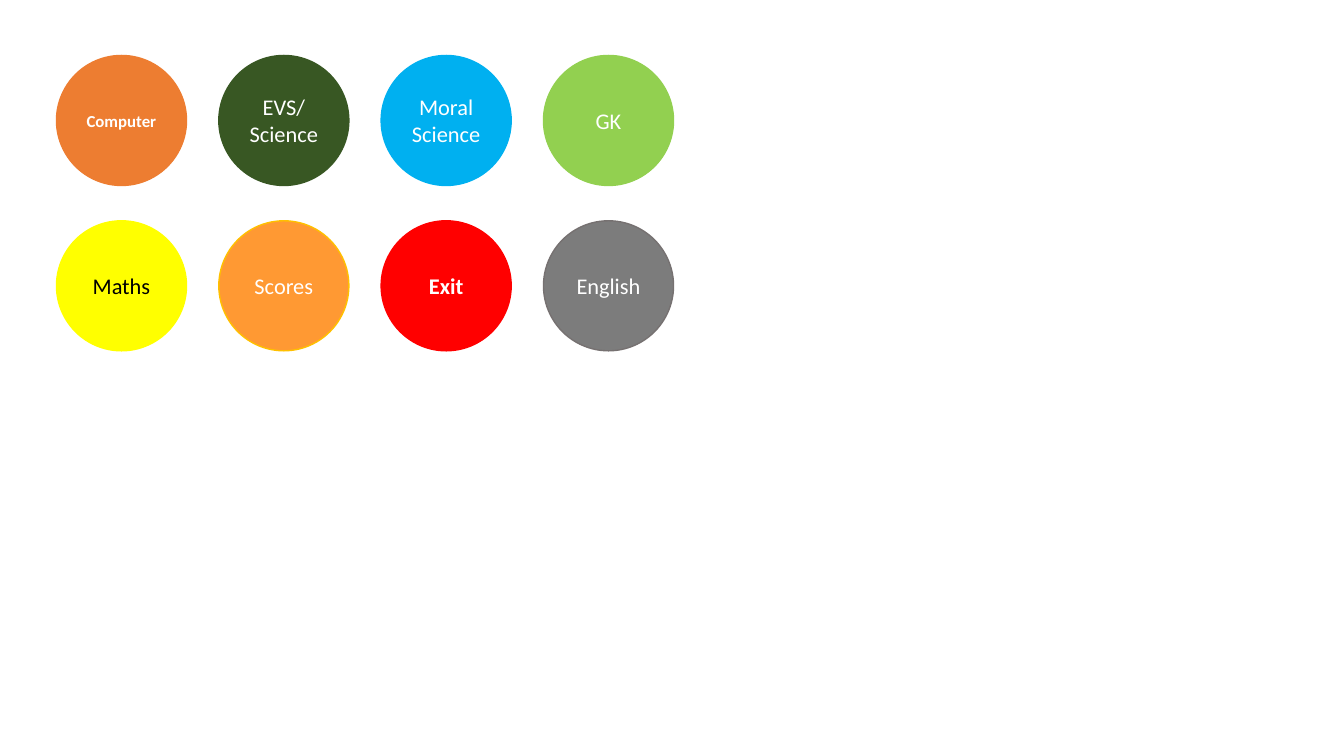
from pptx import Presentation
from pptx.dml.color import RGBColor
from pptx.enum.shapes import MSO_SHAPE
from pptx.enum.text import MSO_ANCHOR, PP_ALIGN
from pptx.util import Inches, Pt

WHITE = RGBColor(0xFF, 0xFF, 0xFF)
BLACK = RGBColor(0x00, 0x00, 0x00)
ORANGE = RGBColor(0xED, 0x7D, 0x31)
DARK_GREEN = RGBColor(0x38, 0x57, 0x23)
SKY = RGBColor(0x00, 0xB0, 0xF0)
LIME = RGBColor(0x92, 0xD0, 0x50)
YELLOW = RGBColor(0xFF, 0xFF, 0x00)
AMBER = RGBColor(0xFF, 0x99, 0x33)
GOLD = RGBColor(0xFF, 0xC0, 0x00)
RED = RGBColor(0xFF, 0x00, 0x00)
GRAY = RGBColor(0x7C, 0x7C, 0x7C)
DARK_GRAY = RGBColor(0x76, 0x71, 0x71)

BUTTONS = [
    [
        ("Computer", ORANGE, ORANGE, WHITE, {"size": Pt(12), "bold": True}),
        ("EVS/\nScience", DARK_GREEN, DARK_GREEN, WHITE, {}),
        ("Moral Science", SKY, SKY, WHITE, {}),
        ("GK", LIME, LIME, WHITE, {}),
    ],
    [
        ("Maths", YELLOW, YELLOW, BLACK, {}),
        ("Scores", AMBER, GOLD, WHITE, {}),
        ("Exit", RED, RED, WHITE, {"bold": True}),
        ("English", GRAY, DARK_GRAY, WHITE, {}),
    ],
]
BASE_FONT = {"name": "Calibri", "size": Pt(16), "bold": False}
LEFT, TOP = 0.56, 0.55
COLUMN_STEP, ROW_STEP = 1.61, 1.64
DIAMETER = 1.29


def add_button(slide, row, col, text, fill, line, color, font):
    s = slide.shapes.add_shape(
        MSO_SHAPE.OVAL,
        Inches(LEFT + col * COLUMN_STEP),
        Inches(TOP + row * ROW_STEP),
        Inches(DIAMETER),
        Inches(DIAMETER),
    )
    s.shadow.inherit = False
    s.fill.solid()
    s.fill.fore_color.rgb = fill
    s.line.color.rgb = line
    s.line.width = Pt(1)
    tf = s.text_frame
    tf.word_wrap = True
    tf.vertical_anchor = MSO_ANCHOR.MIDDLE
    tf.text = text
    for p in tf.paragraphs:
        p.alignment = PP_ALIGN.CENTER
        for r in p.runs:
            r.font.color.rgb = color
            for key, value in {**BASE_FONT, **font}.items():
                setattr(r.font, key, value)


def main():
    prs = Presentation()
    prs.slide_width, prs.slide_height = Inches(13.33), Inches(7.5)
    slide = prs.slides.add_slide(prs.slide_layouts[6])
    for row, buttons in enumerate(BUTTONS):
        for col, button in enumerate(buttons):
            add_button(slide, row, col, *button)
    prs.save("out.pptx")


if __name__ == "__main__":
    main()
